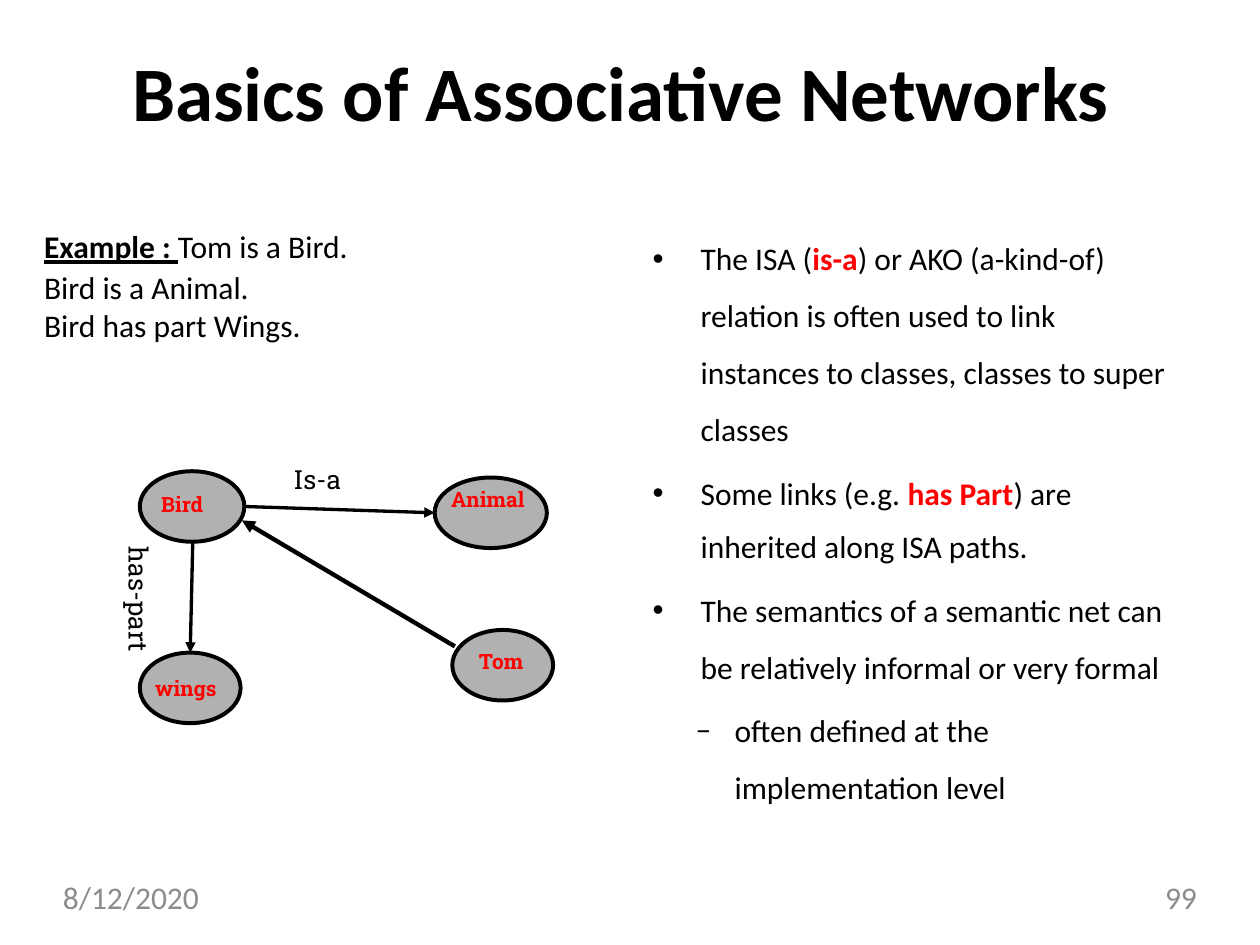
from lxml import etree
from pptx import Presentation
from pptx.dml.color import RGBColor
from pptx.enum import shapes, text
from pptx.oxml.ns import qn
from pptx.util import Inches, Pt

BLACK = RGBColor(0, 0, 0)
RED = RGBColor(255, 0, 0)
NODE_GREY = RGBColor(0xB1, 0xB1, 0xB1)
FOOTER_GREY = RGBColor(0x8C, 0x8C, 0x8C)

BODY = dict(name="Calibri", size=Pt(18), color=BLACK)
KEYWORD = dict(BODY, bold=True, color=RED)
NODE_NAME = dict(name="Roboto Slab", size=Pt(12), bold=True, color=RED)
LINK_NAME = dict(name="Roboto Slab", size=Pt(15), color=BLACK)
FOOTER = dict(BODY, color=FOOTER_GREY)


def add_runs(paragraph, words, style):
    """Add one run per line of words, with line breaks between them."""
    for number, line in enumerate(words.split("\n")):
        if number:
            paragraph.add_line_break()
        run = paragraph.add_run()
        run.text = line
        for key, value in style.items():
            if key == "color":
                run.font.color.rgb = value
            else:
                setattr(run.font, key, value)


def add_text(left, top, width, height, paragraphs):
    """Each paragraph is (runs, format values, bullet, left margin, indent)."""
    frame = slide.shapes.add_textbox(
        Inches(left), Inches(top), Inches(width), Inches(height)).text_frame
    frame.word_wrap = True
    for side in ("left", "top", "right", "bottom"):
        setattr(frame, f"margin_{side}", 0)
    for number, (runs, layout, bullet, margin, indent) in enumerate(paragraphs):
        paragraph = frame.paragraphs[0] if number == 0 else frame.add_paragraph()
        properties = paragraph._p.get_or_add_pPr()
        properties.set("marL", str(Inches(margin)))
        properties.set("indent", str(Inches(indent)))
        if bullet:
            bullet_font = "Calibri" if bullet == "–" else "Arial"
            etree.SubElement(properties, qn("a:buFont")).set("typeface", bullet_font)
            etree.SubElement(properties, qn("a:buChar")).set("char", bullet)
        for key, value in layout.items():
            setattr(paragraph, key, value)
        for words, style in runs:
            add_runs(paragraph, words, style)
    return frame


prs = Presentation()
prs.slide_width, prs.slide_height = Inches(10), Inches(7.5)
slide = prs.slides.add_slide(prs.slide_layouts[5])

# Title
title = slide.shapes.title
title.left, title.top, title.width, title.height = (
    Inches(0.43), Inches(0.35), Inches(9), Inches(0.75))
heading = title.text_frame
heading.auto_size = text.MSO_AUTO_SIZE.NONE
heading.vertical_anchor = text.MSO_ANCHOR.TOP
for side in ("left", "top", "right", "bottom"):
    setattr(heading, f"margin_{side}", 0)
heading.paragraphs[0].alignment = text.PP_ALIGN.CENTER
add_runs(heading.paragraphs[0], "Basics of Associative Networks",
         dict(BODY, size=Pt(44), bold=True))

# Example sentences
add_text(0.35, 1.78, 2.83, 0.95, [
    ([("Example : ", dict(BODY, bold=True, underline=True)),
      ("Tom is a Bird.\nBird is a Animal.", BODY)],
     dict(line_spacing=1.08), None, 0, 0),
    ([("Bird has part Wings.", BODY)], {}, None, 0, 0),
])

# Explanation of the links
add_text(5.17, 1.75, 4.18, 1.82, [
    ([("The ISA (", BODY), ("is-a", KEYWORD),
      (") or AKO (a-kind-of) relation is often used to link\n"
       "instances to classes, classes to super classes", BODY)],
     dict(line_spacing=1.5), "•", 0.39, -0.38),
])
add_text(5.17, 3.76, 4.18, 2.66, [
    ([("Some links (e.g. ", BODY), ("has Part", KEYWORD), (") are", BODY)],
     {}, "•", 0.39, -0.38),
    ([("inherited along ISA paths.", BODY)],
     dict(space_before=Pt(9)), None, 0.39, 0),
    ([("The semantics of a semantic net can\n"
       "be relatively informal or very formal", BODY)],
     dict(line_spacing=1.5, space_before=Pt(4)), "•", 0.39, -0.38),
    ([("often defined at the\nimplementation level", BODY)],
     dict(line_spacing=1.5, space_before=Pt(3.8)), "–", 0.66, -0.31),
])

# Network nodes: name, left, top, width, then left and top of the name
nodes = [
    ("Bird", 1.11, 3.74, 0.83, 1.28, 3.9),
    ("Animal", 3.45, 3.79, 0.89, 3.58, 3.86),
    ("Tom", 3.59, 5, 0.8, 3.8, 5.15),
    ("wings", 1.11, 5.18, 0.8, 1.23, 5.36),
]
for name, left, top, width, name_left, name_top in nodes:
    node = slide.shapes.add_shape(
        shapes.MSO_SHAPE.OVAL,
        Inches(left), Inches(top), Inches(width), Inches(0.56))
    node.shadow.inherit = False
    node.fill.solid()
    node.fill.fore_color.rgb = NODE_GREY
    node.line.color.rgb = BLACK
    node.line.width = Pt(2.28)
    add_text(name_left, name_top, 0.64, 0.22,
             [([(name, NODE_NAME)], {}, None, 0, 0)])

# Network links: start, end, line width
links = [
    ((1.94, 4.02), (3.45, 4.07), 1.9),
    ((1.53, 4.3), (1.51, 5.18), 1.9),
    ((3.61, 5.13), (1.92, 4.13), 2.5),
]
for start, end, weight in links:
    link = slide.shapes.add_connector(
        shapes.MSO_CONNECTOR.STRAIGHT, *map(Inches, start + end))
    link.line.color.rgb = BLACK
    link.line.width = Pt(weight)
    arrowhead = etree.SubElement(link.line._get_or_add_ln(), qn("a:tailEnd"))
    for key, value in dict(type="triangle", w="med", len="med").items():
        arrowhead.set(key, value)
    etree.SubElement(link._element.spPr, qn("a:effectLst"))

# Link names
add_text(2.33, 3.68, 0.5, 0.28, [([("Is-a", LINK_NAME)], {}, None, 0, 0)])
has_part = add_text(0.96, 4.34, 0.27, 0.95,
                    [([("has-part", LINK_NAME)], {}, None, 0, 0)])
has_part._txBody.bodyPr.set("vert", "vert")

# Date and page number
for words, left, alignment in [("8/12/2020", 0.5, text.PP_ALIGN.LEFT),
                               ("99", 7.2, text.PP_ALIGN.RIGHT)]:
    add_text(left, 6.97, 2.3, 0.38,
             [([(words, FOOTER)], dict(alignment=alignment), None, 0, 0)])

prs.save("out.pptx")
